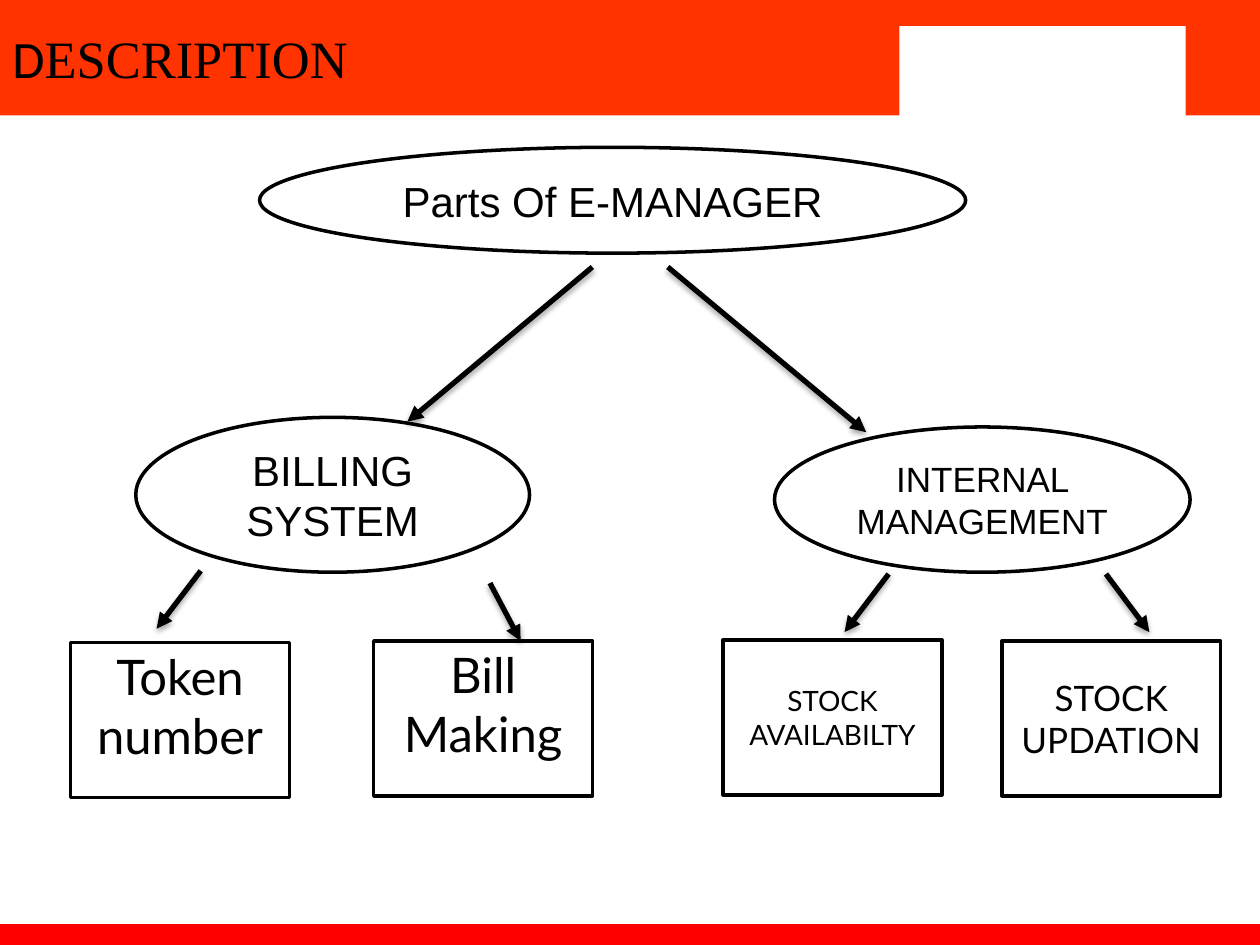
"""Build the slide that describes the parts of E-MANAGER as a tree."""
import pptx
import pptx.dml.color
import pptx.enum.shapes
import pptx.enum.text
import pptx.oxml
import pptx.oxml.ns
import pptx.util
import lxml.etree

Pt = pptx.util.Pt
RGBColor = pptx.dml.color.RGBColor
Shape = pptx.enum.shapes.MSO_SHAPE
Align = pptx.enum.text.PP_ALIGN

BLACK = RGBColor(0x00, 0x00, 0x00)
WHITE = RGBColor(0xFF, 0xFF, 0xFF)
ORANGE = RGBColor(0xFF, 0x33, 0x00)
RED = RGBColor(0xFF, 0x00, 0x00)

SHADOW = (
    f'<a:effectLst {pptx.oxml.ns.nsdecls("a")}>'
    '<a:outerShdw blurRad="40000" dist="23000" dir="5400000" rotWithShape="0">'
    '<a:srgbClr val="000000"><a:alpha val="35000"/></a:srgbClr>'
    '</a:outerShdw></a:effectLst>'
)


def write(shape, text, size=24, font="Arial", align=Align.CENTER):
    frame = shape.text_frame
    frame.word_wrap = True
    frame.vertical_anchor = pptx.enum.text.MSO_ANCHOR.MIDDLE
    paragraph = frame.paragraphs[0]
    paragraph.alignment = align
    run = paragraph.add_run()
    run.text = text
    run.font.size = Pt(size)
    run.font.name = font
    run.font.color.rgb = BLACK


def add_filled(kind, left, top, width, height, color):
    shape = slide.shapes.add_shape(kind, Pt(left), Pt(top), Pt(width), Pt(height))
    shape.shadow.inherit = False
    shape.fill.solid()
    shape.fill.fore_color.rgb = color
    shape.line.fill.background()
    return shape


presentation = pptx.Presentation()
presentation.slide_width = Pt(720)
presentation.slide_height = Pt(540)
slide = presentation.slides.add_slide(presentation.slide_layouts[6])

for left, top, width, height, color in [
    (0, 0, 720, 66, ORANGE),
    (0, 528, 720, 12, RED),
    (514, 15, 163.5, 54, WHITE),
]:
    add_filled(Shape.RECTANGLE, left, top, width, height, color)

title = slide.shapes.add_textbox(0, 0, Pt(510), Pt(66))
write(title, "D", size=30, font="Calibri", align=Align.LEFT)
write(title, "ESCRIPTION", size=30, font="Times New Roman", align=Align.LEFT)

for text, size, left, top, width, height in [
    ("Parts Of E-MANAGER", 24, 148.3, 84.2, 403.5, 60.5),
    ("BILLING SYSTEM", 24, 77.6, 238.5, 225, 88.5),
    ("INTERNAL MANAGEMENT", 20, 442.6, 244, 237.5, 83),
]:
    ellipse = add_filled(Shape.OVAL, left, top, width, height, WHITE)
    ellipse.line.color.rgb = BLACK
    ellipse.line.width = Pt(2)
    write(ellipse, text, size=size)

for text, size, left, top, bottom_inset in [
    ("Token number", 28, 40.4, 367.2, 20.5),
    ("Bill Making", 28, 213.6, 366.3, 20.5),
    ("STOCK AVAILABILTY", 16, 413.2, 365.7, 3.6),
    ("STOCK UPDATION", 20, 572.5, 366.3, 3.6),
]:
    box = add_filled(Shape.RECTANGLE, left, top, 125, 88.5, WHITE)
    box.line.color.rgb = BLACK
    box.line.width = Pt(2)
    box.text_frame.margin_bottom = Pt(bottom_inset)
    write(box, text, size=size, font="Lato")

for start_x, start_y, end_x, end_y in [
    (338.5, 152.6, 232.8, 241),
    (381.6, 152.6, 495, 247),
    (114.7, 326.2, 89.5, 359.3),
    (280, 333.2, 297.5, 366.3),
    (507.8, 328, 482.6, 361.2),
    (632, 328, 656.8, 361.2),
]:
    arrow = slide.shapes.add_connector(
        pptx.enum.shapes.MSO_CONNECTOR.STRAIGHT,
        Pt(start_x), Pt(start_y), Pt(end_x), Pt(end_y),
    )
    arrow.line.color.rgb = BLACK
    arrow.line.width = Pt(3)
    properties = arrow._element.spPr
    line = properties.find(pptx.oxml.ns.qn("a:ln"))
    lxml.etree.SubElement(line, pptx.oxml.ns.qn("a:tailEnd"), type="triangle")
    properties.append(pptx.oxml.parse_xml(SHADOW))

presentation.save("out.pptx")
